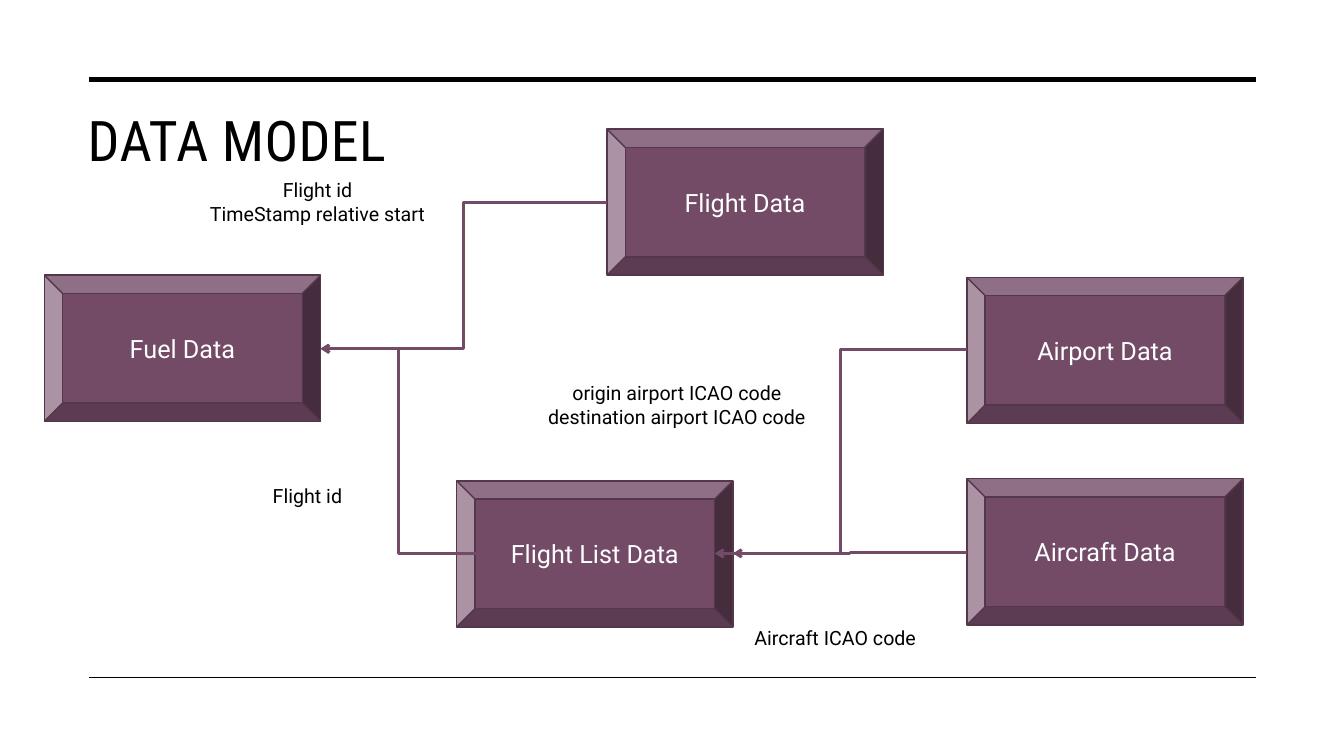
from lxml import etree
from pptx import Presentation
from pptx import util as u
from pptx.dml.color import RGBColor
from pptx.enum import shapes, text
from pptx.oxml.ns import qn

PX = 9144  # 100 px to the inch
COLORS = {"ink": "000000", "plum": "734B67", "edge": "55374C", "light": "FFFFFF"}
BOX_W, BOX_H = 274, 145

ENTITIES = [
    ("Fuel Data", 44, 273),
    ("Flight Data", 602, 128),
    ("Flight List Data", 453, 477),
    ("Airport Data", 959, 275),
    ("Aircraft Data", 959, 475),
]
RELATIONS = [
    ((602, 201), (318, 346)),
    ((472, 549), (318, 346)),
    ((959, 347), (709, 549)),
    ((959, 548), (727, 549)),
]
KEYS = [
    (["Flight id", "TimeStamp relative start"], 178, 172, 274, 57),
    (["Flight id"], 238, 475, 134, 34),
    (["origin airport ICAO code", "destination airport ICAO code"], 500, 373, 343, 57),
    (["Aircraft ICAO code"], 705, 616, 247, 40),
]


def px(*lengths):
    return [u.Emu(length * PX) for length in lengths]


def rgb(name):
    return RGBColor.from_string(COLORS[name])


def style(paragraph, size, color, font="Roboto", align=text.PP_ALIGN.CENTER):
    paragraph.alignment = align
    paragraph.font.size = u.Pt(size)
    paragraph.font.name = font
    paragraph.font.color.rgb = rgb(color)


def add_title(slide, wording):
    title = slide.shapes.title
    title.left, title.top, title.width, title.height = px(77, 100, 1169, 143)
    frame = title.text_frame
    frame.text = wording
    frame.vertical_anchor = text.MSO_ANCHOR.TOP
    frame.auto_size = text.MSO_AUTO_SIZE.NONE
    heading = frame.paragraphs[0]
    style(heading, 40, "ink", "Roboto Condensed", text.PP_ALIGN.LEFT)
    heading.runs[0]._r.get_or_add_rPr().set("spc", "30")


def add_line(slide, kind, start, end, color, width):
    line = slide.shapes.add_connector(kind, *px(*start, *end))
    line.line.color.rgb = rgb(color)
    line.line.width = u.Pt(width)
    etree.SubElement(line._element.spPr, qn("a:effectLst"))
    return line


def add_rule(slide, y, width):
    add_line(slide, shapes.MSO_CONNECTOR.STRAIGHT, (88, y), (1246, y), "ink", width)


def add_relation(slide, start, end):
    relation = add_line(slide, shapes.MSO_CONNECTOR.ELBOW, start, end, "plum", 2)
    etree.SubElement(relation.line._get_or_add_ln(), qn("a:tailEnd"), type="arrow")


def add_entity(slide, name, left, top):
    entity = slide.shapes.add_shape(
        shapes.MSO_SHAPE.BEVEL, *px(left, top, BOX_W, BOX_H))
    entity.shadow.inherit = False
    entity.fill.solid()
    entity.fill.fore_color.rgb = rgb("plum")
    entity.line.color.rgb = rgb("edge")
    entity.line.width = u.Pt(1)
    frame = entity.text_frame
    frame.text = name
    frame.vertical_anchor = text.MSO_ANCHOR.MIDDLE
    style(frame.paragraphs[0], 18, "light")


def add_key(slide, fields, *place):
    """Label a relation with the fields that join its two entities."""
    frame = slide.shapes.add_textbox(*px(*place)).text_frame
    frame.word_wrap = True
    frame.text = "\n".join(fields)
    for paragraph in frame.paragraphs:
        style(paragraph, 14, "ink")


def main():
    deck = Presentation()
    deck.slide_width, deck.slide_height = px(1333, 750)
    slide = deck.slides.add_slide(deck.slide_layouts.get_by_name("Title Only"))
    add_rule(slide, 79, 3.5)
    add_rule(slide, 672, 1)
    add_title(slide, "DATA MODEL")
    for entity in ENTITIES:
        add_entity(slide, *entity)
    for relation in RELATIONS:
        add_relation(slide, *relation)
    for key in KEYS:
        add_key(slide, *key)
    deck.save("out.pptx")


if __name__ == "__main__":
    main()
